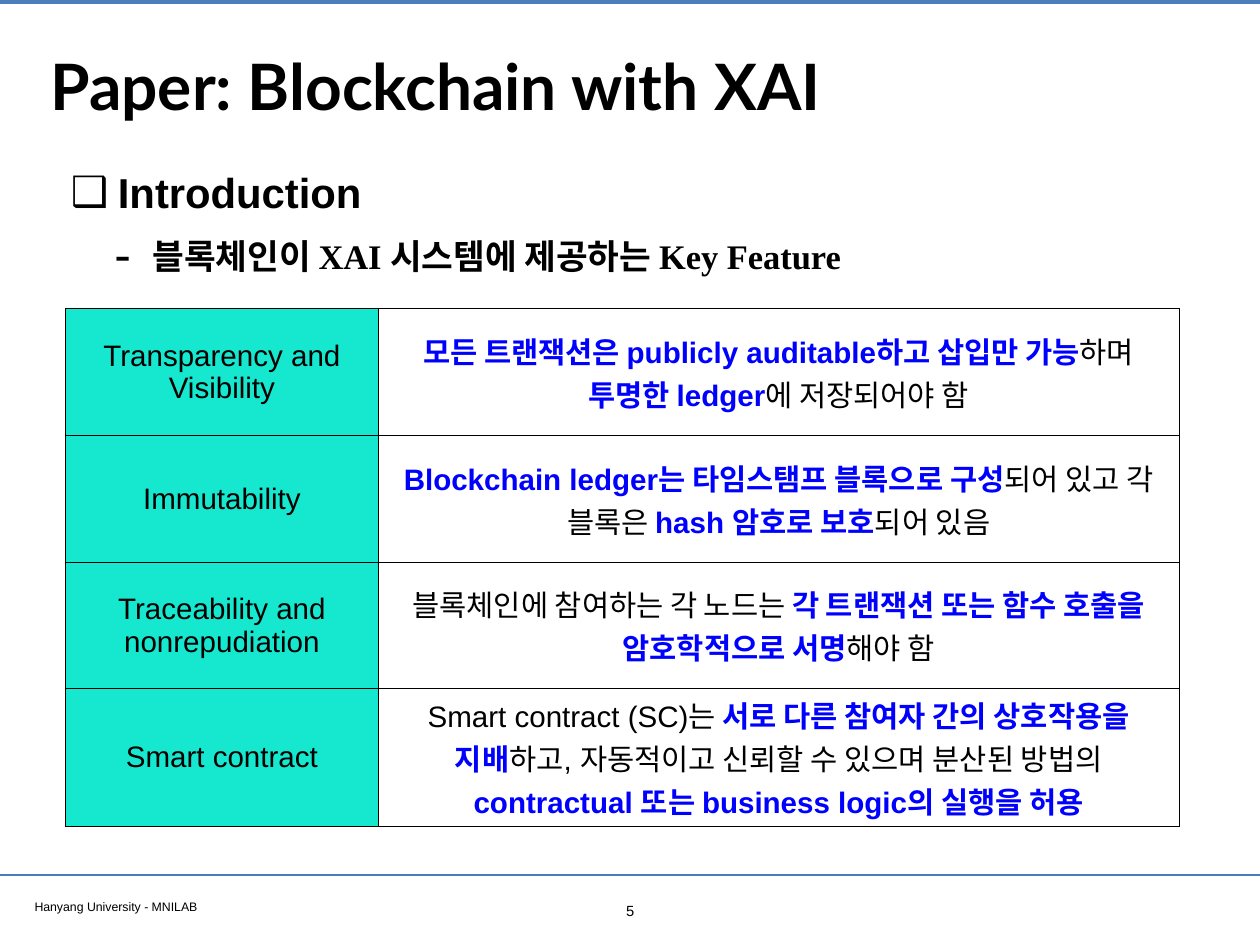
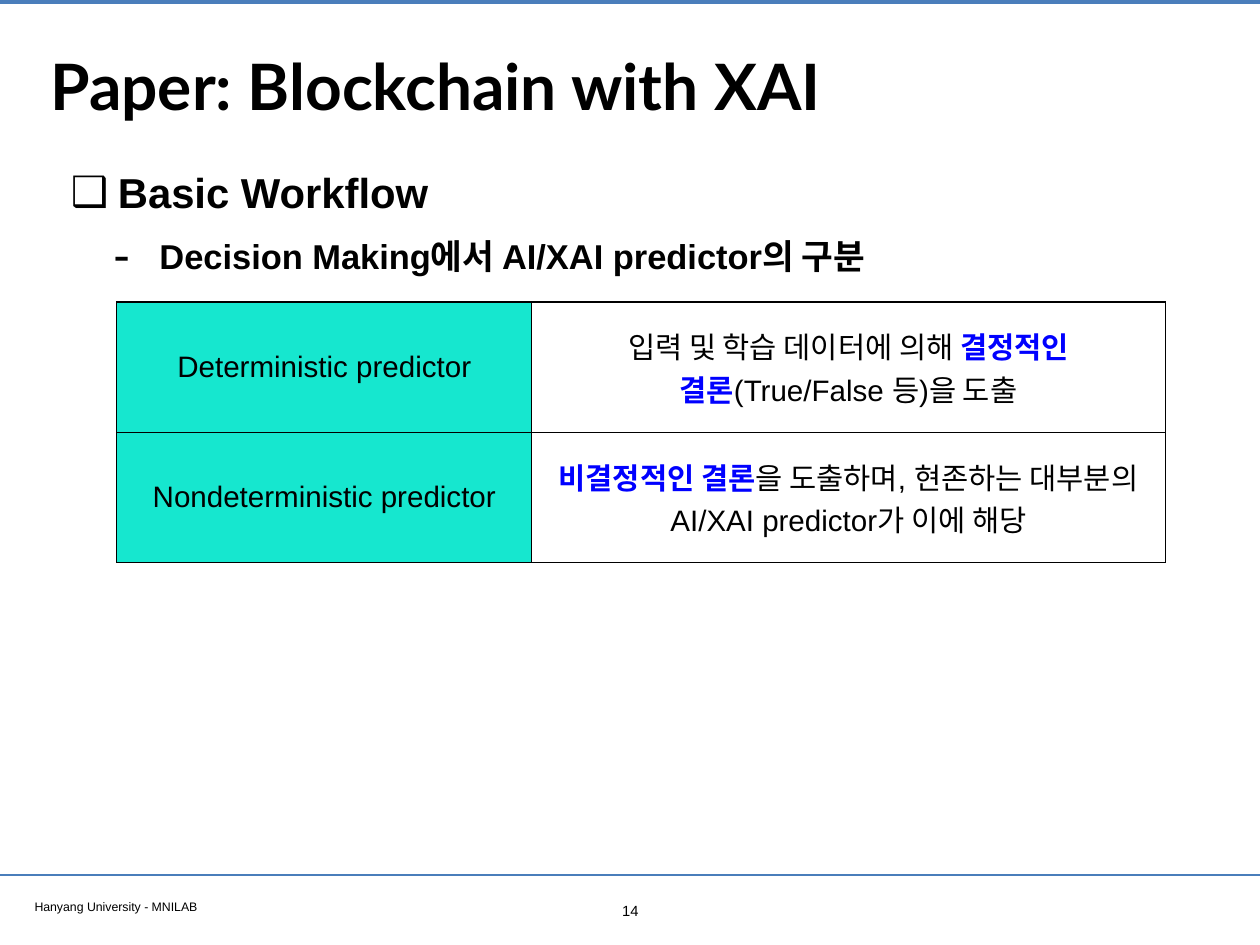
from lxml import etree
from pptx import Presentation
from pptx.dml.color import RGBColor
from pptx.enum import shapes, text
from pptx.oxml import ns
from pptx.util import Cm, Pt

BLACK = RGBColor(0, 0, 0)
WHITE = RGBColor(255, 255, 255)
BLUE = RGBColor(0, 0, 255)
RULE = RGBColor(0x4A, 0x7E, 0xBB)
TEAL = RGBColor(0x16, 0xE7, 0xCF)
WIDTH, HEIGHT = Cm(36.12), Cm(27.1)
PAD = Cm(0.15)
TITLE = "Paper: Blockchain with XAI"
FOOTER = "Hanyang University - MNILAB"

FEATURES = [
    ("Transparency and\nVisibility",
     "*모든 트랜잭션은 publicly auditable하고 삽입만 가능*하며 "
     "*투명한 ledger*에 저장되어야 함"),
    ("Immutability",
     "*Blockchain ledger는 타임스탬프 블록으로 구성*되어 있고 각 블록은 "
     "*hash 암호로 보호*되어 있음"),
    ("Traceability and nonrepudiation",
     "블록체인에 참여하는 각 노드는 "
     "*각 트랜잭션 또는 함수 호출을 암호학적으로 서명*해야 함"),
    ("Smart contract",
     "Smart contract (SC)는 *서로 다른 참여자 간의 상호작용을 지배*하고, "
     "자동적이고 신뢰할 수 있으며 분산된 방법의 "
     "*contractual 또는 business logic의 실행을 허용*"),
]
KINDS = [
    ("Deterministic predictor",
     "입력 및 학습 데이터에 의해 *결정적인 결론*(True/False 등)을 도출"),
    ("Nondeterministic predictor",
     "*비결정적인 결론*을 도출하며, 현존하는 대부분의 AI/XAI predictor가 이에 해당"),
]


def add(parent, tag, **attrs):
    """Append a drawing element and return it."""
    node = etree.SubElement(parent, ns.qn(tag))
    for key, val in attrs.items():
        node.set(key, str(val))
    return node


def style(para, size, name="Arial", bold=False, align=text.PP_ALIGN.LEFT):
    """Set the font and alignment of a paragraph."""
    para.alignment = align
    font = para.font
    font.size, font.name, font.bold = Pt(size), name, bold
    font.color.rgb = BLACK


def place(shape, left, top, width, height):
    """Move a text shape and give it the common margins."""
    shape.left, shape.top = Cm(left), Cm(top)
    shape.width, shape.height = Cm(width), Cm(height)
    frame = shape.text_frame
    frame.margin_left = frame.margin_right = PAD
    frame.margin_top = frame.margin_bottom = PAD
    frame.word_wrap = True
    frame.auto_size = text.MSO_AUTO_SIZE.NONE
    return frame


def rule(slide, top, width):
    """Draw a full-width horizontal line."""
    line = slide.shapes.add_connector(
        shapes.MSO_CONNECTOR.STRAIGHT, 0, Cm(top), WIDTH, Cm(top))
    line.line.color.rgb = RULE
    line.line.width = Pt(width)
    add(line._element.spPr, "a:effectLst")


def label(slide, words, box, size, align):
    """Add a small line of text."""
    frame = place(slide.shapes.add_textbox(0, 0, 0, 0), *box)
    frame.text = words
    style(frame.paragraphs[0], size, align=align)


def bullet(para, mark, left, hang, scale=100):
    """Give a paragraph a hanging bullet."""
    props = para._p.get_or_add_pPr()
    props.set("marL", str(Cm(left)))
    props.set("indent", str(-Cm(hang)))
    add(props, "a:buSzPct", val=scale * 1000)
    add(props, "a:buFont", typeface="Arial")
    add(props, "a:buChar", char=mark)
    para.line_spacing = 1.2


def outline(slide, head, point, left, hang, name):
    """Fill the body with a heading and one point below it."""
    frame = place(slide.placeholders[1], 1.88, 4.34, 31.55, 4)
    frame.vertical_anchor = text.MSO_ANCHOR.TOP
    frame.text = head
    first, second = frame.paragraphs[0], frame.add_paragraph()
    second.text, second.level = point, 1
    bullet(first, "❑", 1.35, 1.35)
    bullet(second, "-", left, hang, 145)
    first.space_before, second.space_before = Pt(0), Pt(8)
    style(first, 34, bold=True)
    style(second, 28, name, True)


def border(cell):
    """Draw thin black lines around a cell."""
    props = cell._tc.get_or_add_tcPr()
    for spot, side in enumerate("LRTB"):
        line = add(props, f"a:ln{side}", w=Pt(1))
        add(add(line, "a:solidFill"), "a:srgbClr", val=BLACK)
        props.insert(spot, line)


def write(cell, words, fill):
    """Fill a cell, with starred parts in bold blue."""
    cell.fill.solid()
    cell.fill.fore_color.rgb = fill
    cell.vertical_anchor = text.MSO_ANCHOR.MIDDLE
    border(cell)
    frame = cell.text_frame
    for row, line in enumerate(words.split("\n")):
        para = frame.add_paragraph() if row else frame.paragraphs[0]
        style(para, 24, align=text.PP_ALIGN.CENTER)
        for part, words in enumerate(line.split("*")):
            if words:
                run = para.add_run()
                run.text = words
                if part % 2:
                    run.font.bold = True
                    run.font.color.rgb = BLUE


def grid(slide, rows, left, top, widths, height):
    """Add a two-column table of terms and their meaning."""
    table = slide.shapes.add_table(
        len(rows), 2, Cm(left), Cm(top),
        Cm(sum(widths)), Cm(height * len(rows))).table
    table.first_row = table.horz_banding = False
    for col, width in zip(table.columns, widths):
        col.width = Cm(width)
    for row, (term, sense) in enumerate(rows):
        table.rows[row].height = Cm(height)
        write(table.cell(row, 0), term, TEAL)
        write(table.cell(row, 1), sense, WHITE)


def page(deck, number):
    """Add a slide with the shared title, lines and footer."""
    slide = deck.slides.add_slide(deck.slide_layouts[1])
    rule(slide, 0.05, 3.2)
    rule(slide, 25.1, 2)
    label(slide, FOOTER, (0.84, 25.63, 13.87, 0.66), 10, text.PP_ALIGN.LEFT)
    label(slide, str(number), (17.57, 25.7, 1, 0.79), 12,
          text.PP_ALIGN.CENTER)
    frame = place(slide.shapes.title, 1.3, 0.71, 33.55, 3.43)
    frame.vertical_anchor = text.MSO_ANCHOR.MIDDLE
    frame.text = TITLE
    style(frame.paragraphs[0], 52, "Lato", True)
    return slide


def main():
    """Build and save the deck."""
    deck = Presentation()
    deck.slide_width, deck.slide_height = WIDTH, HEIGHT
    intro = page(deck, 5)
    outline(intro, "Introduction", "블록체인이 XAI 시스템에 제공하는 Key Feature",
            2.34, 1.09, "Times New Roman")
    grid(intro, FEATURES, 1.88, 8.86, (8.96, 22.96), 3.63)
    flow = page(deck, 14)
    outline(flow, "Basic Workflow", "Decision Making에서 AI/XAI predictor의 구분",
            2.54, 1.32, "Arial")
    grid(flow, KINDS, 3.35, 8.66, (11.89, 18.16), 3.74)
    deck.save("out.pptx")


if __name__ == "__main__":
    main()
